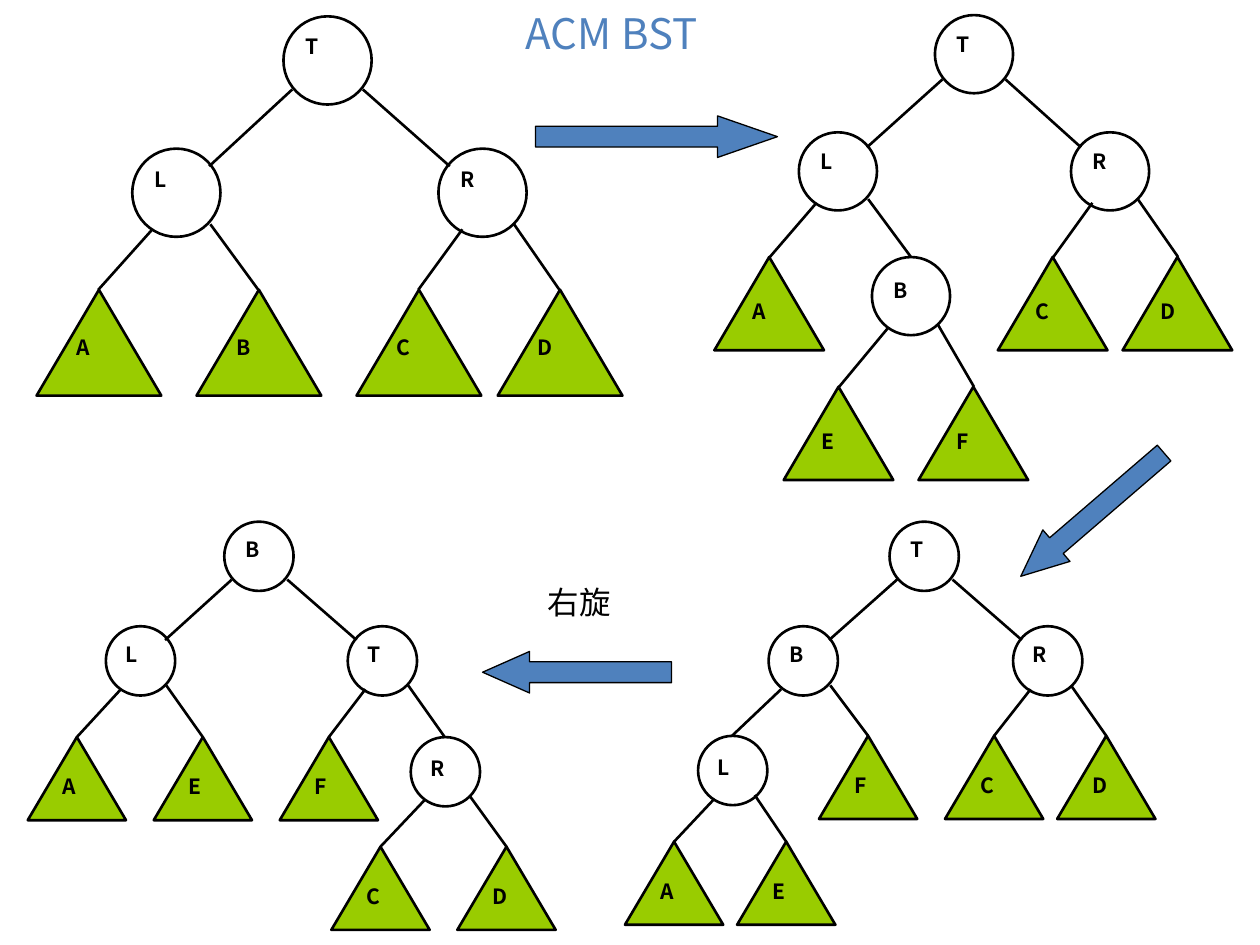
from lxml.etree import SubElement
from pptx import Presentation
from pptx.dml.color import RGBColor
from pptx.enum.shapes import MSO_CONNECTOR, MSO_SHAPE
from pptx.enum.text import PP_ALIGN
from pptx.oxml.ns import qn
from pptx.util import Pt

EMU_PER_PX = 9144
COLOURS = {"black": "000000", "white": "FFFFFF", "green": "99CC00", "blue": "4F81BD"}
CJK_FONT = "Noto Sans CJK SC"
FORMATS = {
    "title": {"size": Pt(24), "bold": False, "name": CJK_FONT},
    "label": {"size": Pt(12), "bold": True, "name": CJK_FONT},
    "caption": {"size": Pt(18), "bold": False, "name": "Arial"},
}
TREES = [
    {"diameter": 70, "rows": (13, 118, 230),
     "centres": {"T": 260, "TL": 140, "TR": 383,
                 "LA": 78, "LB": 205, "RC": 332, "RD": 444}},
    {"diameter": 62, "rows": (12, 105, 204, 307),
     "centres": {"T": 773, "TL": 665, "TR": 881, "LA": 611, "LB": 723,
                 "RC": 836, "RD": 935, "BE": 666, "BF": 773}},
    {"diameter": 55, "rows": (414, 497, 584, 668),
     "centres": {"T": 734, "TB": 638, "TR": 831, "BL": 581, "BF": 689,
                 "RC": 789, "RD": 878, "LA": 535, "LE": 624}},
    {"diameter": 55, "rows": (414, 497, 585, 672),
     "centres": {"B": 206, "BL": 111, "BT": 303, "LA": 61, "LE": 161,
                 "TF": 261, "TR": 353, "RC": 302, "RD": 402}},
]


def emu(*lengths):
    return [round(length) * EMU_PER_PX for length in lengths]


def colour(name):
    return RGBColor.from_string(COLOURS[name])


class TreeSlide:
    def __init__(self, slide):
        self.slide = slide

    def shape(self, shapes, kind, box, fill, line_width=1.5):
        shape = shapes.add_shape(kind, *emu(*box))
        shape.shadow.inherit = False
        shape.fill.solid()
        shape.fill.fore_color.rgb = colour(fill)
        shape.line.color.rgb = colour("black")
        shape.line.width = Pt(line_width)
        return shape

    def edge(self, shapes, parent, child, diameter):
        (parent_x, parent_y, depth), (child_x, child_y, _) = parent, child
        side = 1 if child_x > parent_x else -1
        if depth == 0:
            start_x = parent_x + side * 0.4 * diameter
            start_y = parent_y + 0.83 * diameter
            child_x -= side * 0.37 * diameter
            child_y += 0.2 * diameter
        else:
            slope, drop = (0.41, 0.85) if side > 0 else (0.31, 0.91)
            start_x = parent_x + slope * (child_x - parent_x)
            start_y = parent_y + drop * diameter
        connector = shapes.add_connector(
            MSO_CONNECTOR.STRAIGHT, *emu(start_x, start_y, child_x, child_y))
        connector.line.color.rgb = colour("black")
        connector.line.width = Pt(1.5)
        SubElement(connector._element.spPr, qn("a:effectLst"))

    def text(self, shapes, words, box, style, alignment, text_colour="black"):
        frame = shapes.add_textbox(*emu(*box)).text_frame
        frame.word_wrap = True
        paragraph = frame.paragraphs[0]
        paragraph.alignment = alignment
        run = paragraph.add_run()
        run.text = words
        run.font.color.rgb = colour(text_colour)
        for attribute, value in FORMATS[style].items():
            setattr(run.font, attribute, value)
        east_asian = SubElement(run._r.get_or_add_rPr(), qn("a:ea"))
        east_asian.set("typeface", CJK_FONT)

    def arrow(self, box, head, rotation=0):
        shape = self.shape(self.slide.shapes, MSO_SHAPE.RIGHT_ARROW, box, "blue", 0.75)
        shape.adjustments[1] = head
        shape.rotation = rotation

    def node(self, shapes, letter, place, diameter, is_leaf):
        centre, top, depth = place
        if is_leaf:
            kind, fill = MSO_SHAPE.ISOSCELES_TRIANGLE, "green"
            width, height = 1.41 * diameter, 1.2 * diameter
            label_x, label_y = 0.23 * width, 0.37 * height
        else:
            kind, fill = MSO_SHAPE.OVAL, "white"
            width = height = diameter
            label_x, label_y = 0.11 * width, (0.18 if depth == 2 else 0.13) * height
        left = centre - width / 2
        self.shape(shapes, kind, (left, top, width, height), fill)
        label_box = (left + label_x, top + label_y, 1.21 * diameter, 0.9 * diameter)
        self.text(shapes, letter, label_box, "label", PP_ALIGN.JUSTIFY)

    def tree(self, diameter, rows, centres):
        shapes = self.slide.shapes.add_group_shape().shapes
        parents = {key[0] for key in centres if len(key) == 2}
        places = {}
        for key, centre in centres.items():
            parent, letter = key[0], key[-1]
            depth = places[parent][2] + 1 if parent in places else 0
            places[letter] = (centre, rows[depth], depth)
            self.node(shapes, letter, places[letter], diameter, letter not in parents)
            if depth:
                self.edge(shapes, places[parent], places[letter], diameter)


def main():
    presentation = Presentation()
    presentation.slide_width, presentation.slide_height = emu(1000, 750)
    slide = presentation.slides.add_slide(presentation.slide_layouts[6])
    page = TreeSlide(slide)
    page.text(slide.shapes, "ACM BST", (394, 1, 183, 50), "title", PP_ALIGN.CENTER, "blue")
    for tree in TREES:
        page.tree(**tree)
    page.arrow((425, 92, 192, 33), 1.44)
    page.arrow((792, 392, 150, 33), 1.13, 139.3)
    page.arrow((383, 517, 150, 33), 1.13, 180)
    page.text(slide.shapes, "右旋", (425, 458, 92, 40), "caption", PP_ALIGN.LEFT)
    presentation.save("out.pptx")


if __name__ == "__main__":
    main()
